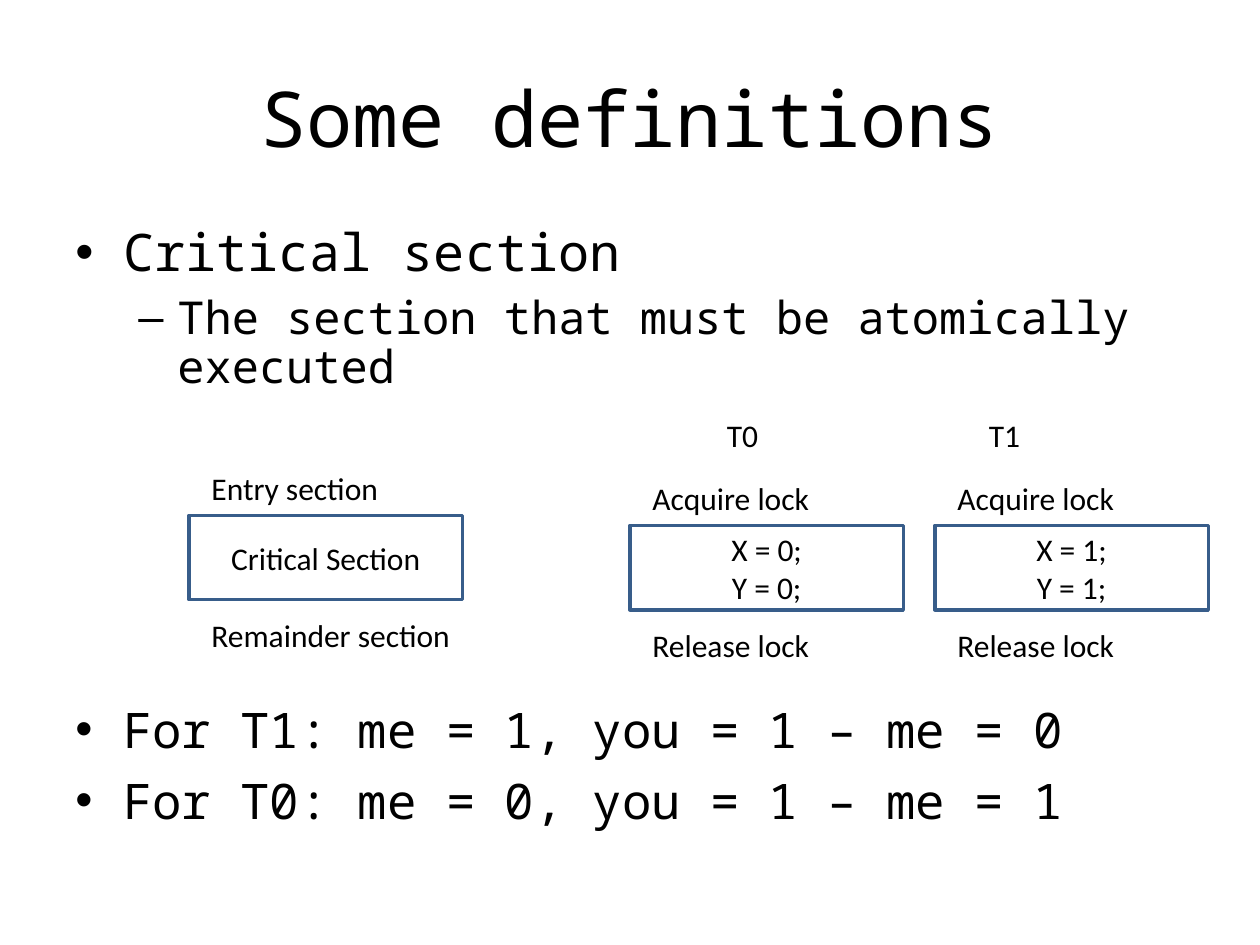
from dataclasses import dataclass

from lxml.etree import SubElement
from pptx import Presentation
from pptx.dml.color import RGBColor
from pptx.enum.shapes import MSO_SHAPE
from pptx.enum.text import MSO_ANCHOR, PP_ALIGN
from pptx.oxml.ns import qn
from pptx.util import Inches, Pt


@dataclass(frozen=True)
class Theme:
    text: RGBColor = RGBColor(0x00, 0x00, 0x00)
    outline: RGBColor = RGBColor(0x38, 0x5D, 0x8A)
    mono_font: str = "Noto Sans Mono"
    label_font: str = "Calibri"
    bullet_font: str = "Arial"
    title_size: float = 44
    topic_size: float = 29.6
    detail_size: float = 25.9
    example_size: float = 28
    label_size: float = 18


THEME = Theme()


def style(paragraph, font, size, alignment=PP_ALIGN.LEFT):
    paragraph.alignment = alignment
    paragraph.font.name = font
    paragraph.font.size = Pt(size)
    paragraph.font.color.rgb = THEME.text


def add_text_box(slide, left, top, width, height):
    shape = slide.shapes.add_textbox(Inches(left), Inches(top), Inches(width), Inches(height))
    shape.text_frame.word_wrap = True
    return shape.text_frame


def add_bullet(paragraph, character, left, hanging):
    properties = paragraph._p.get_or_add_pPr()
    properties.set("marL", str(Inches(left)))
    properties.set("indent", str(-Inches(hanging)))
    SubElement(properties, qn("a:buFont"), typeface=THEME.bullet_font)
    SubElement(properties, qn("a:buChar"), char=character)


def add_title(slide, text, left, top, width, height):
    frame = add_text_box(slide, left, top, width, height)
    frame.vertical_anchor = MSO_ANCHOR.MIDDLE
    frame.text = text
    style(frame.paragraphs[0], THEME.mono_font, THEME.title_size, PP_ALIGN.CENTER)


def add_bullet_list(slide, items, left, top, width, height, line_spacing=1.0):
    """Each item is (text, level, size)."""
    frame = add_text_box(slide, left, top, width, height)
    frame.text = "\n".join(text for text, _, _ in items)
    for index, (paragraph, (_, level, size)) in enumerate(zip(frame.paragraphs, items)):
        paragraph.level = level
        if level == 0:
            add_bullet(paragraph, "•", 0.38, 0.38)
        else:
            add_bullet(paragraph, "–", 0.81, 0.31)
        paragraph.line_spacing = line_spacing
        paragraph.space_before = Pt(7 if index else 0)
        style(paragraph, THEME.mono_font, size)


def add_label(slide, text, left, top, width):
    frame = add_text_box(slide, left, top, width, 0.4)
    frame.text = text
    style(frame.paragraphs[0], THEME.label_font, THEME.label_size)


def add_section_diagram(slide, entry, body, remainder, left, top, width=2.17):
    """A framed section with one label above it and one below."""
    label_left = left + 0.08
    add_label(slide, entry, label_left, top, width)

    shape = slide.shapes.add_shape(
        MSO_SHAPE.RECTANGLE, Inches(left), Inches(top + 0.42), Inches(width), Inches(0.67)
    )
    shape.shadow.inherit = False
    shape.fill.background()
    shape.line.color.rgb = THEME.outline
    shape.line.width = Pt(2)
    frame = shape.text_frame
    frame.word_wrap = True
    frame.vertical_anchor = MSO_ANCHOR.MIDDLE
    frame.text = body
    for paragraph in frame.paragraphs:
        style(paragraph, THEME.label_font, THEME.label_size, PP_ALIGN.CENTER)

    add_label(slide, remainder, label_left, top + 1.17, width)


def build_slide(slide):
    # Title and definition
    add_title(slide, "Some definitions", 0.5, 0.3, 9, 1.25)
    definition = [
        ("Critical section", 0, THEME.topic_size),
        ("The section that must be atomically executed", 1, THEME.detail_size),
    ]
    add_bullet_list(slide, definition, 0.5, 1.75, 9, 1.5, line_spacing=0.9)

    # General structure
    add_section_diagram(
        slide, "Entry section", "Critical Section", "Remainder section", 1.5, 3.67
    )

    # The same structure in each thread
    for thread, (section_left, heading_left) in enumerate([(5, 5.67), (7.42, 7.75)]):
        add_label(slide, f"T{thread}", heading_left, 3.25, 0.92)
        body = f"X = {thread};\nY = {thread};"
        add_section_diagram(slide, "Acquire lock", body, "Release lock", section_left, 3.75)

    # Values seen by each thread
    examples = [
        (f"For T{me}: me = {me}, you = 1 – me = {1 - me}", 0, THEME.example_size)
        for me in (1, 0)
    ]
    add_bullet_list(slide, examples, 0.5, 5.5, 9, 1.5)


def main():
    presentation = Presentation()
    presentation.slide_width = Inches(10)
    presentation.slide_height = Inches(7.5)
    build_slide(presentation.slides.add_slide(presentation.slide_layouts[6]))
    presentation.save("out.pptx")


if __name__ == "__main__":
    main()
